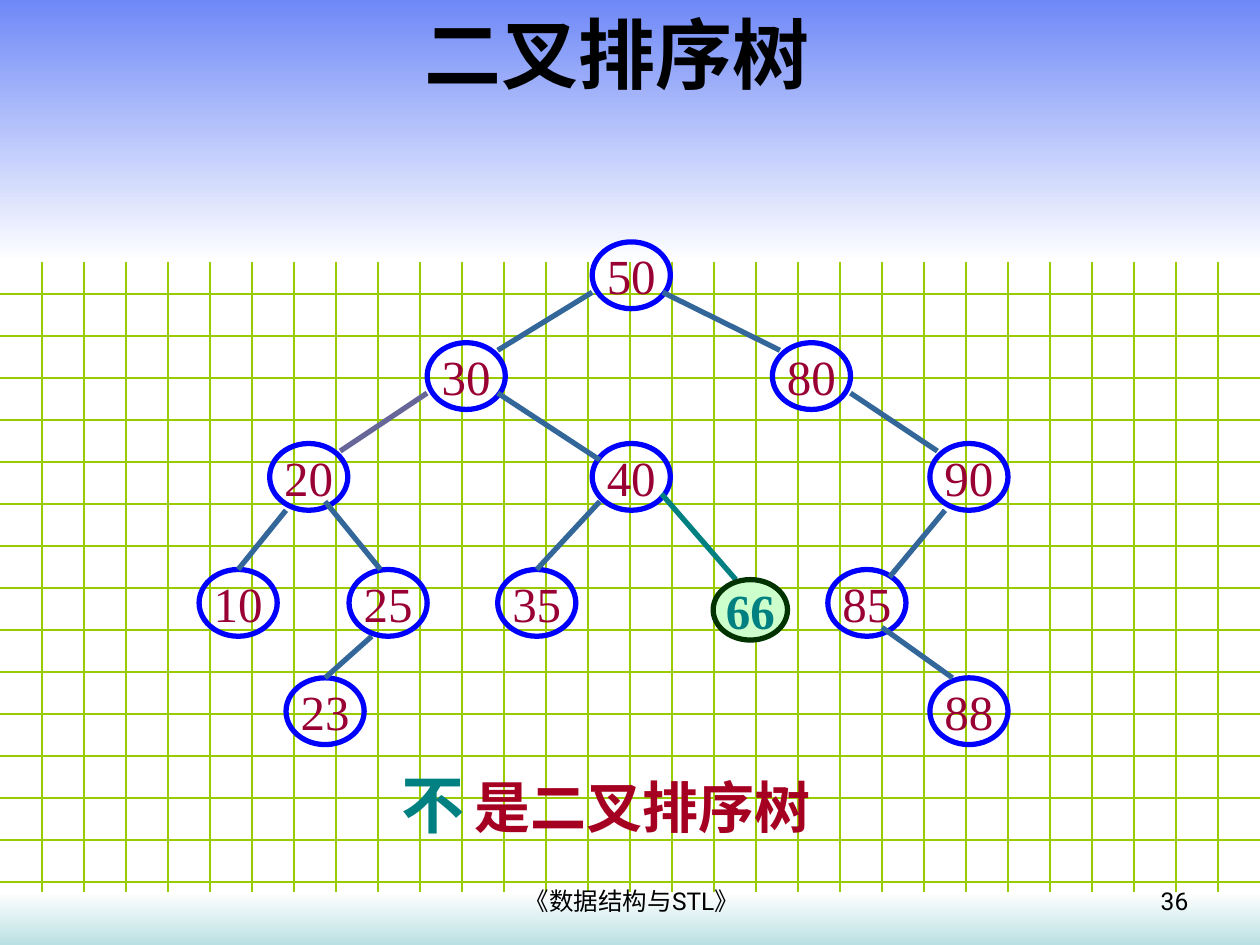
from lxml.etree import SubElement
from pptx import Presentation
from pptx.dml.color import RGBColor
from pptx.enum.shapes import MSO_CONNECTOR as Connector, MSO_SHAPE as Shape
from pptx.enum.text import MSO_ANCHOR as Anchor, PP_ALIGN as Align
from pptx.oxml.ns import qn
from pptx.util import Inches, Pt

WIDTH, HEIGHT = 10, 7.5
GRID_GREEN = RGBColor(0x99, 0xCC, 0x00)
SKY_BLUE = RGBColor(0x6F, 0x89, 0xF7)
PALE_TEAL = RGBColor(0xBB, 0xE0, 0xE3)
WHITE = RGBColor(0xFF, 0xFF, 0xFF)
BLACK = RGBColor(0x00, 0x00, 0x00)
NODE_BLUE = RGBColor(0x00, 0x00, 0xFF)
KEY_RED = RGBColor(0x99, 0x00, 0x33)
EDGE_BLUE = RGBColor(0x33, 0x66, 0x99)
EDGE_PURPLE = RGBColor(0x66, 0x66, 0x99)
TEAL = RGBColor(0x00, 0x80, 0x80)
MINT = RGBColor(0xCC, 0xFF, 0xCC)
DARK_GREEN = RGBColor(0x00, 0x33, 0x00)
VERDICT_RED = RGBColor(0xA5, 0x00, 0x21)
SERIF = "Times New Roman"

LEVELS = [
    (1.92, [(4.7, "50")]),
    (2.72, [(3.39, "30"), (6.13, "80")]),
    (3.52, [(2.14, "20"), (4.7, "40"), (7.38, "90")]),
    (4.52, [(1.58, "10"), (2.77, "25"), (3.95, "35"), (6.57, "85")]),
    (5.38, [(2.27, "23"), (7.38, "88")]),
]
EDGES = [
    (4.7, 2.32, 3.95, 2.78),
    (5.26, 2.32, 6.19, 2.78),
    (3.95, 3.12, 4.76, 3.65),
    (6.75, 3.12, 7.44, 3.58),
    (2.27, 4.05, 1.89, 4.52),
    (2.58, 3.98, 3.02, 4.52),
    (4.76, 3.98, 4.26, 4.52),
    (7.5, 4.05, 7.06, 4.58),
    (2.95, 5.05, 2.58, 5.38),
    (7, 4.98, 7.56, 5.38),
]


def add_line(page, ends, color, weight=3):
    """Draw a straight line between two points."""
    line = page.shapes.add_connector(Connector.STRAIGHT, *map(Inches, ends))
    line.line.color.rgb = color
    line.line.width = Pt(weight)
    SubElement(line._element.spPr, qn("a:effectLst"))


def add_grid(page, step=1 / 3):
    """Rule the page into squares."""
    for row in range(1, round(HEIGHT / step)):
        add_line(page, (0, row * step, WIDTH, row * step), GRID_GREEN, 0.75)
    for column in range(1, round(WIDTH / step)):
        add_line(page, (column * step, 0, column * step, HEIGHT), GRID_GREEN, 0.75)


def add_band(page, top, height, upper, lower):
    """Lay a full-width band that fades from top to bottom."""
    band = page.shapes.add_shape(
        Shape.RECTANGLE, 0, Inches(top), Inches(WIDTH), Inches(height))
    band.shadow.inherit = False
    band.line.fill.background()
    band.fill.gradient()
    band.fill.gradient_angle = 270
    for stop, position, color in zip(band.fill.gradient_stops, (0, 1), (upper, lower)):
        stop.position = position
        stop.color.rgb = color


def write(shape, text, size, color, font, align, bold=False, wrap=False,
          anchor=Anchor.TOP):
    """Put one run of text in a shape."""
    frame = shape.text_frame
    frame.word_wrap = wrap
    frame.vertical_anchor = anchor
    para = frame.paragraphs[0]
    para.alignment = align
    span = para.add_run()
    span.text = text
    span.font.size = Pt(size)
    span.font.name = font
    span.font.bold = bold
    span.font.color.rgb = color


def add_text(page, place, text, size, color, font, align=Align.LEFT, **options):
    """Add a text box."""
    box = page.shapes.add_textbox(*map(Inches, place))
    write(box, text, size, color, font, align, **options)


def add_node(page, place, key, outline, color, fill=None, bold=False):
    """Add a tree node with its key."""
    node = page.shapes.add_shape(Shape.OVAL, *map(Inches, place))
    node.shadow.inherit = False
    if fill is None:
        node.fill.background()
    else:
        node.fill.solid()
        node.fill.fore_color.rgb = fill
    node.line.color.rgb = outline
    node.line.width = Pt(3)
    write(node, key, 28, color, SERIF, Align.CENTER, bold=bold, anchor=Anchor.MIDDLE)


def add_tree(page):
    """Draw the tree and the misplaced node."""
    for top, nodes in LEVELS:
        for left, key in nodes:
            add_node(page, (left, top, 0.62, 0.53), key, NODE_BLUE, KEY_RED)
    for ends in EDGES:
        add_line(page, ends, EDGE_BLUE)
    add_line(page, (3.39, 3.12, 2.7, 3.58), EDGE_PURPLE)
    add_line(page, (5.25, 3.92, 5.84, 4.6), TEAL)
    add_node(page, (5.66, 4.6, 0.59, 0.48), "66", DARK_GREEN, TEAL, MINT, bold=True)


def main():
    """Build the slide and save it."""
    deck = Presentation()
    deck.slide_width, deck.slide_height = Inches(WIDTH), Inches(HEIGHT)
    page = deck.slides.add_slide(deck.slide_layouts[6])
    add_grid(page)
    add_band(page, 0, 2.08, SKY_BLUE, WHITE)
    add_band(page, 7.08, 0.42, WHITE, PALE_TEAL)
    add_text(page, (0, 0, 9.8, 0.84), "二叉排序树", 44, BLACK, "Arial", Align.CENTER,
             bold=True, wrap=True, anchor=Anchor.MIDDLE)
    add_tree(page)
    add_text(page, (3.67, 6.08, 2.87, 0.64), "是二叉排序树", 32, VERDICT_RED, SERIF,
             bold=True)
    add_text(page, (3.09, 6.03, 0.7, 0.7), "不", 36, TEAL, SERIF, bold=True)
    add_text(page, (3.43, 6.98, 3.17, 0.36), "《数据结构与STL》", 14, BLACK, "Roboto",
             Align.CENTER, wrap=True)
    add_text(page, (7.2, 6.98, 2.33, 0.36), "36", 14, BLACK, "Roboto", Align.RIGHT,
             wrap=True)
    deck.save("out.pptx")


if __name__ == "__main__":
    main()
